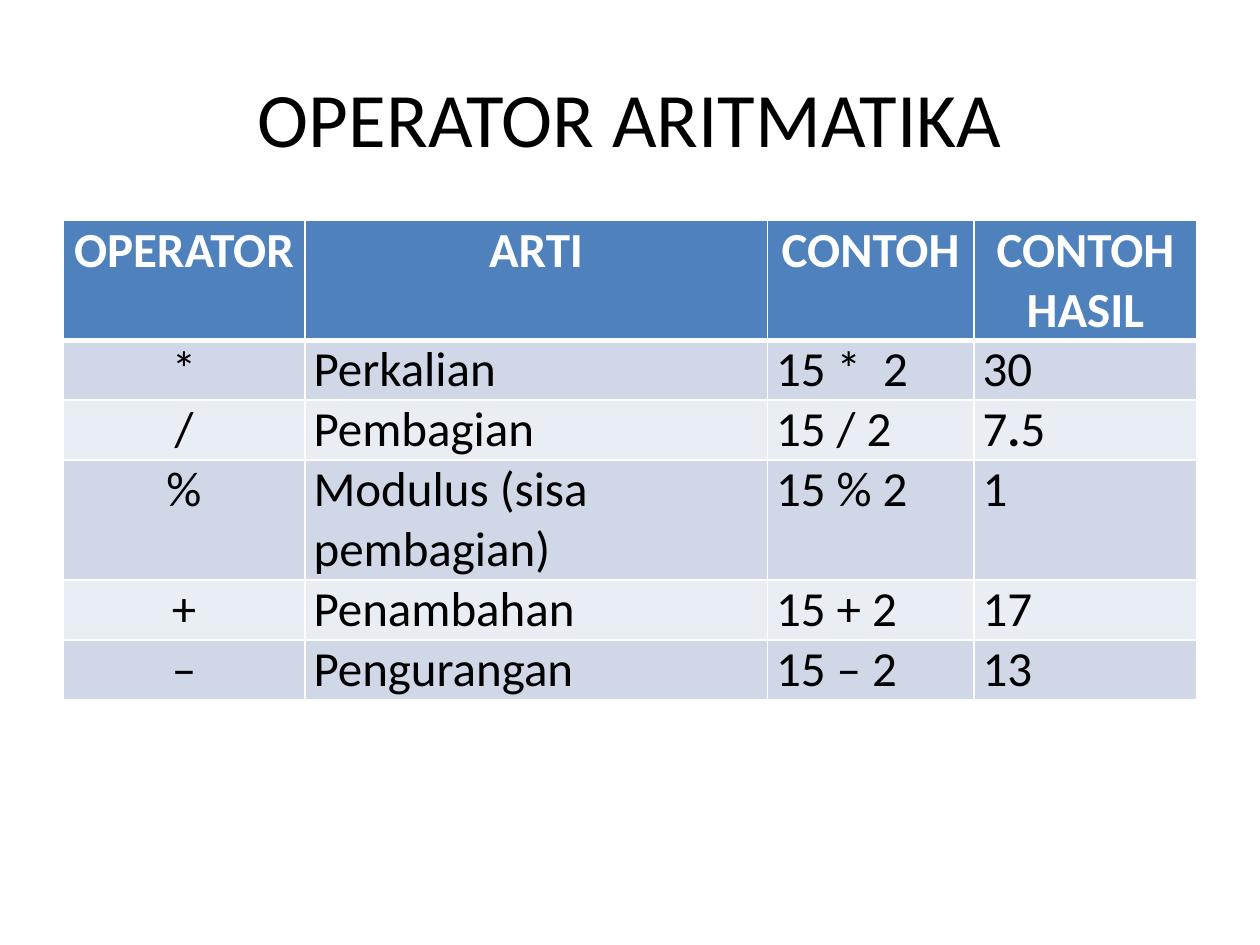
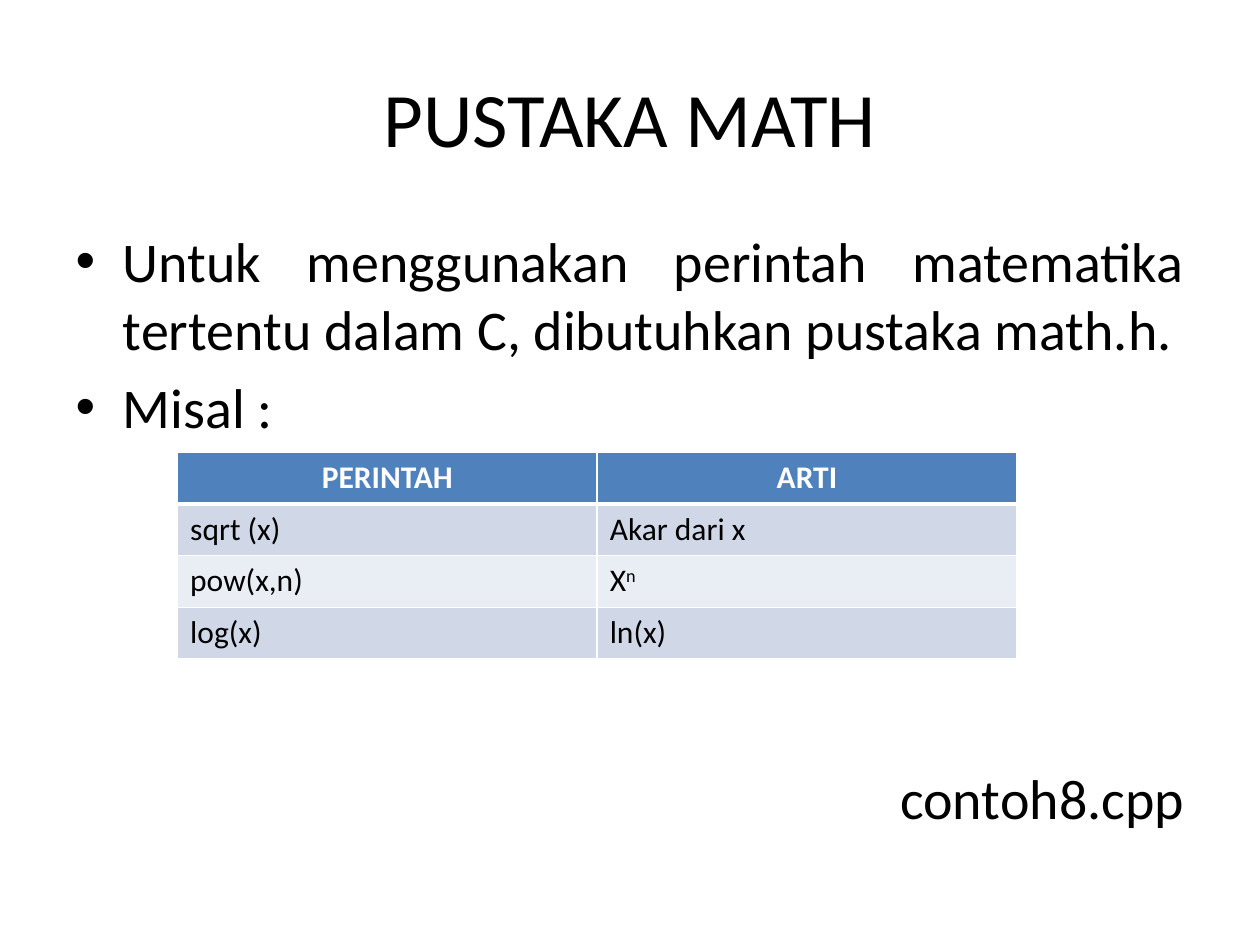
import pptx
import pptx.util
import pptx.dml.color
import pptx.enum.text
import pptx.oxml
import pptx.oxml.ns

Inches = pptx.util.Inches
Pt = pptx.util.Pt
ALIGN = pptx.enum.text.PP_ALIGN
ANCHOR = pptx.enum.text.MSO_ANCHOR
FONT = "Calibri"
BLACK, WHITE = "000000", "FFFFFF"
HEADER, BANDS = "4F81BD", ("E9EDF4", "D0D8E8")


def style(paragraph, size, color, align, bold=False):
    paragraph.alignment = align
    for run in paragraph.runs:
        run.font.name = FONT
        run.font.size = Pt(size)
        run.font.bold = bold
        run.font.color.rgb = pptx.dml.color.RGBColor.from_string(color)


def add_grid(slide, left, top, widths, heights, rows, size, centred, inset=None):
    grid = slide.shapes.add_table(len(rows), len(widths), Inches(left), Inches(top),
                                  Inches(sum(widths)), Inches(sum(heights))).table
    for column, width in zip(grid.columns, widths):
        column.width = Inches(width)
    for r, (row, height) in enumerate(zip(rows, heights)):
        grid.rows[r].height = Inches(height)
        for c, words in enumerate(row):
            cell = grid.cell(r, c)
            if inset is not None:
                cell.margin_left = cell.margin_right = Inches(inset)
                cell.margin_top = cell.margin_bottom = 0
            properties = cell._tc.get_or_add_tcPr()
            for side in "LRTB":
                heavy = (r == 0 and side == "B") or (r == 1 and side == "T")
                properties.append(pptx.oxml.parse_xml(
                    f'<a:ln{side} {pptx.oxml.ns.nsdecls("a")} w="{Pt(3 if heavy else 1)}">'
                    f'<a:solidFill><a:srgbClr val="{WHITE}"/></a:solidFill></a:ln{side}>'))
            cell.fill.solid()
            cell.fill.fore_color.rgb = pptx.dml.color.RGBColor.from_string(
                BANDS[r % 2] if r else HEADER)
            paragraph = cell.text_frame.paragraphs[0]
            for part in words if isinstance(words, tuple) else (words,):
                paragraph.add_run().text = part
            align = ALIGN.CENTER if r == 0 or c in centred else ALIGN.LEFT
            style(paragraph, size, BLACK if r else WHITE, align, r == 0)
    return grid


deck = pptx.Presentation()
deck.slide_width, deck.slide_height = Inches(10), Inches(7.5)

slides = []
for heading, layout in (("OPERATOR ARITMATIKA", 5), ("PUSTAKA MATH", 1)):
    slide = deck.slides.add_slide(deck.slide_layouts[layout])
    title = slide.shapes.title
    title.left, title.top = Inches(0.5), Inches(0.3)
    title.width, title.height = Inches(9), Inches(1.25)
    title.text_frame.text = heading
    title.text_frame.vertical_anchor = ANCHOR.MIDDLE
    style(title.text_frame.paragraphs[0], 44, BLACK, ALIGN.CENTER)
    slides.append(slide)
arithmetic, library = slides

operators = add_grid(
    arithmetic, 0.5, 1.75, [1.92, 3.67, 1.64, 1.77],
    [0.47 * lines for lines in (2, 1, 1, 2, 1, 1)],
    [("OPERATOR", "ARTI", "CONTOH", "CONTOH HASIL"),
     ("*", "Perkalian", "15 *  2", "30"),
     ("/", "Pembagian", "15 / 2", ("7", ".", "5")),
     ("%", "Modulus (sisa pembagian)", "15 % 2", "1"),
     ("+", "Penambahan", "15 + 2", "17"),
     ("–", "Pengurangan", "15 – 2", "13")],
    28, centred=(0,), inset=0.07)
operators.cell(2, 3).text_frame.paragraphs[0].runs[1].font.bold = True

explanation = library.placeholders[1]
explanation.left, explanation.top = Inches(0.5), Inches(1.75)
explanation.width, explanation.height = Inches(9), Inches(4.95)
explanation.text_frame.text = (
    "Untuk menggunakan perintah matematika tertentu dalam C, dibutuhkan pustaka math.h.\n"
    "Misal :\ncontoh8.cpp")
explanation.text_frame.auto_size = pptx.enum.text.MSO_AUTO_SIZE.NONE
usage, example, filename = explanation.text_frame.paragraphs
for paragraph in (usage, example):
    style(paragraph, 32, BLACK, ALIGN.JUSTIFY)
style(filename, 32, BLACK, ALIGN.RIGHT)
filename.space_before = Pt(185)
filename._p.get_or_add_pPr().append(
    pptx.oxml.parse_xml(f'<a:buNone {pptx.oxml.ns.nsdecls("a")}/>'))

commands = add_grid(
    library, 1.41, 3.59, [3.33] * 2, [0.41] * 4,
    [("PERINTAH", "ARTI"),
     ("sqrt (x)", "Akar dari x"),
     ("pow(x,n)", ("X", "n")),
     ("log(x)", "ln(x)")],
    18, centred=())
exponent = commands.cell(2, 1).text_frame.paragraphs[0].runs[1]
exponent.font._element.set("baseline", "30000")

deck.save("out.pptx")
